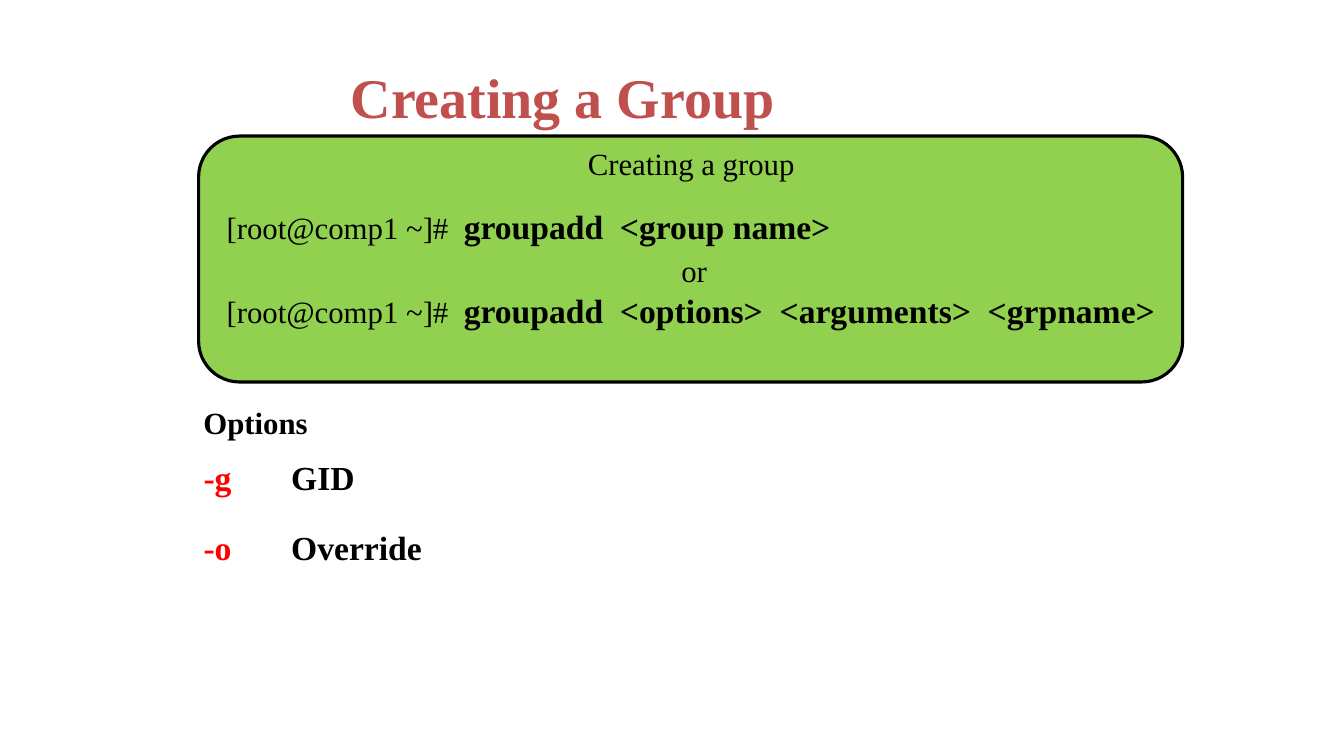
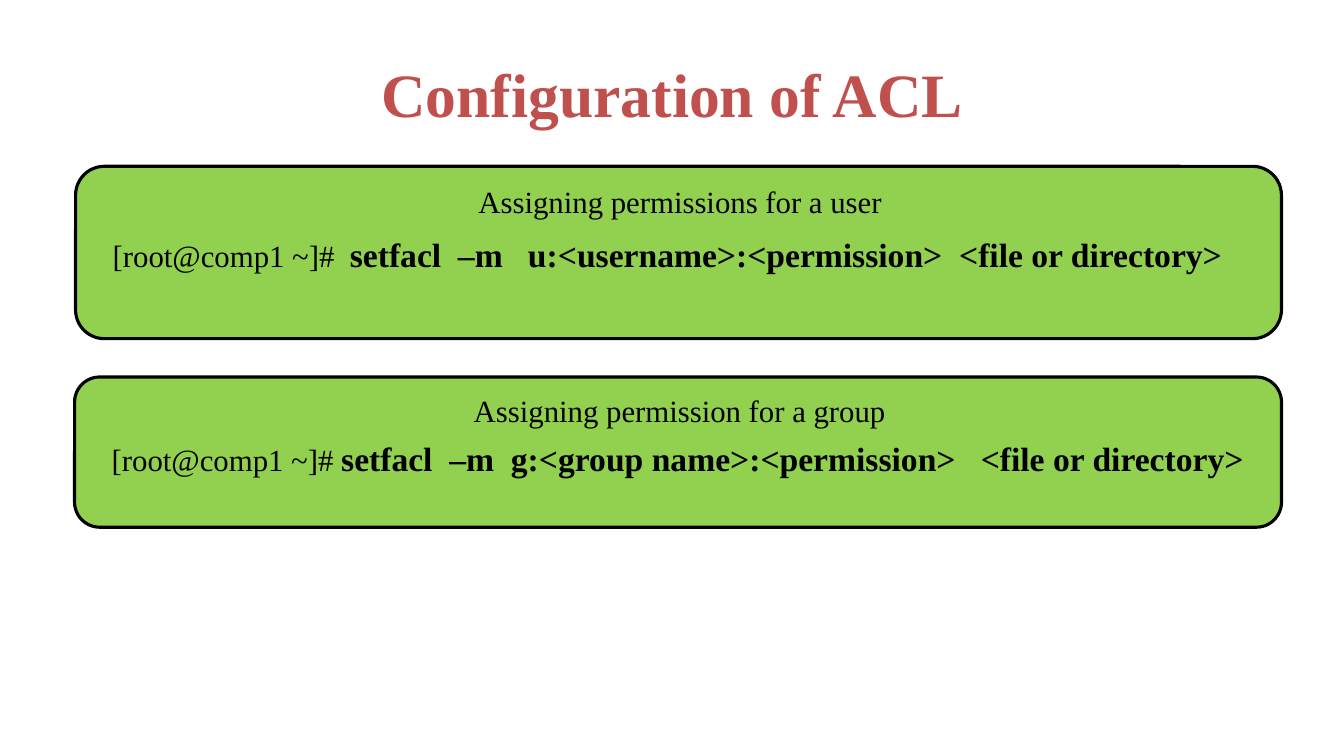
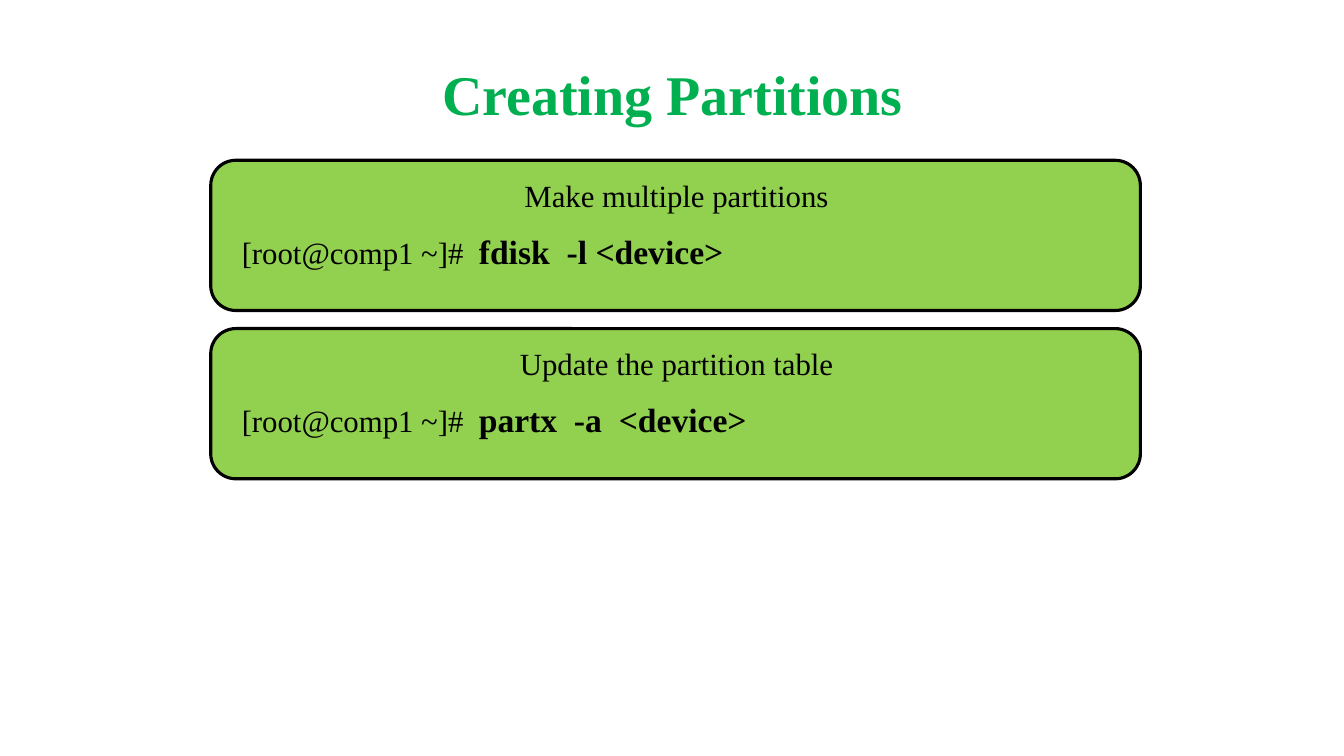
from pptx import Presentation
from pptx.dml.color import RGBColor
from pptx.enum.shapes import MSO_SHAPE
from pptx.enum.text import MSO_ANCHOR, PP_ALIGN
from pptx.util import Inches, Pt

PROMPT = "[root@comp1 ~]#"
RED_TITLE, GREEN_TITLE = "C0504D", "00B050"
BLACK, FLAG_RED, PANEL_GREEN = "000000", "FF0000", "92D050"


def color(hex_string):
    return RGBColor.from_string(hex_string)


def inches(box):
    return [Inches(length) for length in box]


class Deck:
    """Holds the shared style and the slide being filled."""

    font = "Times New Roman"
    caption_size, command_size = 22, 24

    def __init__(self):
        self.presentation = Presentation()
        self.presentation.slide_width = Inches(13.33)
        self.presentation.slide_height = Inches(7.5)
        self.slide = None

    def format_run(self, run, size, hex_string=BLACK, bold=False):
        run.font.name = self.font
        run.font.size = Pt(size)
        run.font.bold = bold
        run.font.color.rgb = color(hex_string)

    def add_runs(self, paragraph, runs):
        for text, *style in runs:
            run = paragraph.add_run()
            run.text = text
            self.format_run(run, *style)

    def new_slide(self, title, hex_string=RED_TITLE, size=40,
                  box=(0.67, 0.3, 12, 1.25)):
        layout = self.presentation.slide_layouts[5]
        self.slide = self.presentation.slides.add_slide(layout)
        heading = self.slide.shapes.title
        heading.left, heading.top, heading.width, heading.height = inches(box)
        frame = heading.text_frame
        frame.text = title
        frame.vertical_anchor = MSO_ANCHOR.MIDDLE
        frame.paragraphs[0].alignment = PP_ALIGN.CENTER
        self.format_run(frame.paragraphs[0].runs[0], size, hex_string, True)

    def green_shape(self, group, preset, box):
        shape = group.shapes.add_shape(preset, *inches(box))
        shape.shadow.inherit = False
        shape.fill.solid()
        shape.fill.fore_color.rgb = color(PANEL_GREEN)
        shape.line.fill.background()
        return shape

    def text_band(self, group, box, lines):
        """Fill a plain green band; each line is (runs, alignment, spacing)."""
        frame = self.green_shape(group, MSO_SHAPE.RECTANGLE, box).text_frame
        frame.word_wrap = True
        frame.vertical_anchor = MSO_ANCHOR.TOP
        for number, (runs, alignment, spacing) in enumerate(lines):
            paragraph = frame.add_paragraph() if number else frame.paragraphs[0]
            paragraph.alignment = alignment
            paragraph.line_spacing = spacing
            self.add_runs(paragraph, runs)

    def panel(self, box, caption, caption_box, commands, command_box, gap="  "):
        """Draw a rounded panel with a caption and commands joined by 'or'."""
        group = self.slide.shapes.add_group_shape()
        outline = self.green_shape(group, MSO_SHAPE.ROUNDED_RECTANGLE, box)
        outline.line.color.rgb = color(BLACK)
        outline.line.width = Pt(2.25)

        heading = [(caption, self.caption_size)]
        self.text_band(group, caption_box, [(heading, PP_ALIGN.CENTER, None)])

        lines = []
        for command in commands:
            if lines:
                lines.append(([("or", self.caption_size)],
                              PP_ALIGN.CENTER, Pt(30)))
            runs = [(PROMPT + gap, self.caption_size),
                    (command, self.command_size, BLACK, True)]
            lines.append((runs, PP_ALIGN.LEFT, Pt(30)))
        self.text_band(group, command_box, lines)

    def text_box(self, box):
        frame = self.slide.shapes.add_textbox(*inches(box)).text_frame
        frame.word_wrap = True
        return frame

    def options(self, heading, heading_box, flags, flags_box):
        """List command flags with their meanings on a hanging indent."""
        frame = self.text_box(flags_box)
        for number, (flag, meaning) in enumerate(flags):
            paragraph = frame.add_paragraph() if number else frame.paragraphs[0]
            paragraph.line_spacing = 1.5
            paragraph.space_before = Pt(7)
            properties = paragraph._p.get_or_add_pPr()
            properties.set("marL", str(Inches(0.87)))
            properties.set("indent", str(-Inches(0.87)))
            self.add_runs(paragraph, [
                (flag + "\t", self.command_size, FLAG_RED, True),
                (meaning, self.command_size, BLACK, True)])

        frame = self.text_box(heading_box)
        self.add_runs(frame.paragraphs[0],
                      [(heading, self.caption_size, BLACK, True)])


def main():
    deck = Deck()

    # Creating a group
    deck.new_slide("Creating a Group", box=(0.88, 0.23, 9.4, 1.44))
    deck.panel((1.97, 1.35, 9.76, 2.44),
               "Creating a group", (2.37, 1.39, 8.97, 0.53),
               ["groupadd  <group name>",
                "groupadd  <options>  <arguments>  <grpname>"],
               (2.15, 1.98, 9.47, 1.36))
    deck.options("Options", (1.92, 3.96, 1.56, 0.47),
                 [("-g", "GID"), ("-o", "Override")],
                 (1.92, 4.28, 9.42, 2.54))

    # Access control lists
    deck.new_slide("Configuration of ACL", size=44)
    deck.panel((0.75, 1.65, 11.96, 1.71),
               "Assigning permissions for a user", (1.01, 1.76, 11.47, 0.54),
               ["setfacl  –m   u:<username>:<permission>  <file or directory>"],
               (1.02, 2.26, 11.47, 0.93))
    deck.panel((0.74, 3.74, 11.97, 1.49),
               "Assigning permission for a group", (1, 3.84, 11.48, 0.47),
               ["setfacl  –m  g:<group name>:<permission>   <file or directory>"],
               (1.01, 4.28, 11.48, 0.52), gap=" ")

    # Partitions
    deck.new_slide("Creating Partitions", GREEN_TITLE)
    steps = [("Make multiple partitions", "fdisk  -l <device>"),
             ("Update the partition table", "partx  -a  <device>")]
    for number, (caption, command) in enumerate(steps):
        top = 1.59 + number * 1.67
        deck.panel((2.09, top, 9.22, 1.49),
                   caption, (2.29, top + 0.11, 8.84, 0.47),
                   [command], (2.3, top + 0.63, 8.84, 0.52))

    deck.presentation.save("out.pptx")


if __name__ == "__main__":
    main()
